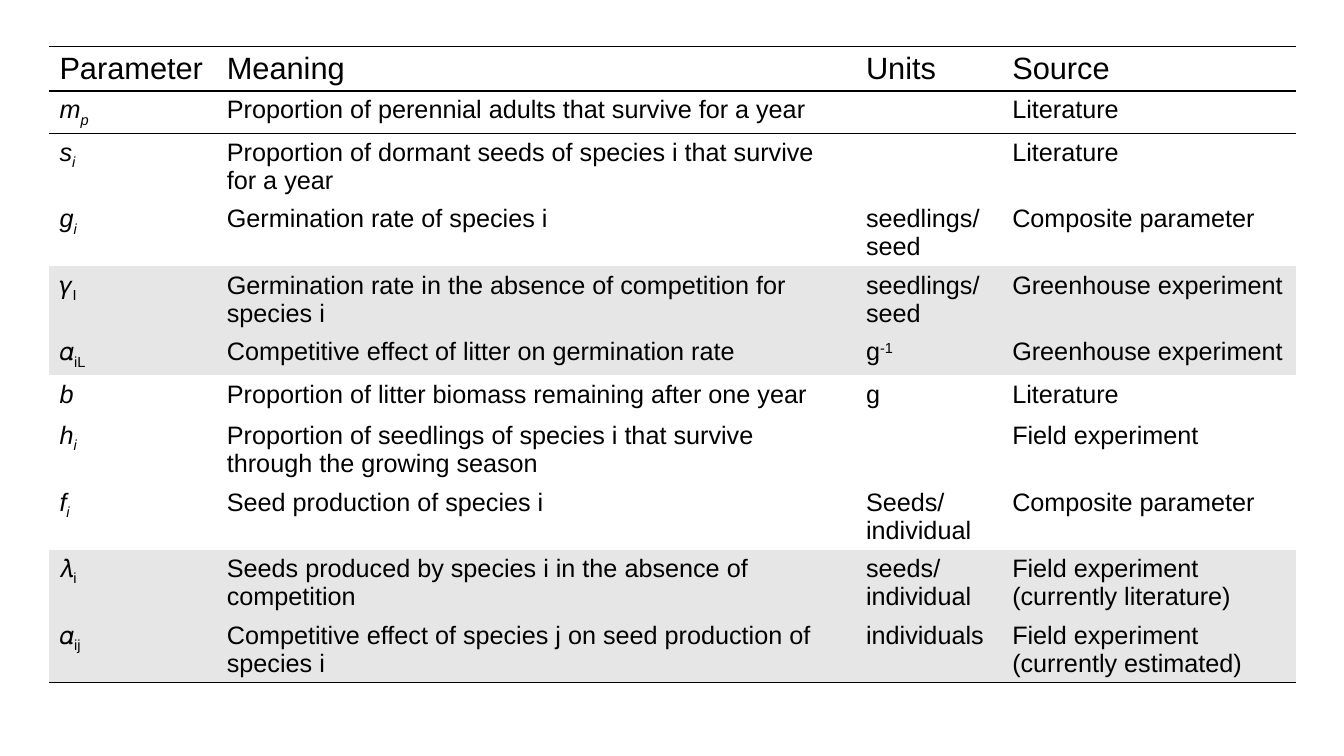
from dataclasses import dataclass

from lxml import etree
from pptx import Presentation, util as u
from pptx.dml.color import RGBColor
from pptx.oxml import ns


@dataclass(frozen=True)
class Theme:
    font: str = "Arial"
    ink: str = "000000"
    shade: str = "E7E6E6"
    header_size: int = 22
    body_size: int = 18
    rule_width: int = 1
    subscript: int = -25
    superscript: int = 30
    plain_table: str = "{2D5ABB26-0587-4C30-8999-92F81FD0307C}"


class SlideBuilder:
    def __init__(self, slide, theme):
        self.slide = slide
        self.theme = theme

    def table(self, left, top, widths, row_height, row_count):
        frame = self.slide.shapes.add_table(
            row_count, len(widths), u.Inches(left), u.Inches(top),
            u.Inches(sum(widths)), u.Inches(row_height * row_count))
        table = frame.table
        table.first_row = table.horz_banding = False
        table._tbl.tblPr.find(ns.qn("a:tableStyleId")).text = self.theme.plain_table
        for column, width in zip(table.columns, widths):
            column.width = u.Inches(width)
        for row in table.rows:
            row.height = u.Inches(row_height)
        return table

    def run(self, paragraph, words, size, italic=False, shift=0):
        run = paragraph.add_run()
        run.text = words
        font = run.font
        font.name = self.theme.font
        font.size = u.Pt(size)
        font.italic = italic
        font.color.rgb = RGBColor.from_string(self.theme.ink)
        if shift:
            run._r.get_or_add_rPr().set("baseline", str(shift * 1000))

    def rule(self, cell, edge):
        line = etree.SubElement(cell._tc.get_or_add_tcPr(), ns.qn(f"a:{edge}"),
                                w=str(u.Pt(self.theme.rule_width)))
        fill = etree.SubElement(line, ns.qn("a:solidFill"))
        etree.SubElement(fill, ns.qn("a:srgbClr"), val=self.theme.ink)

    def cell(self, cell, lines, size, italic=False, shaded=False, edges=()):
        """Each line is a list of (words, baseline shift) pairs."""
        for index, line in enumerate(lines):
            frame = cell.text_frame
            paragraph = frame.add_paragraph() if index else frame.paragraphs[0]
            for words, shift in line:
                self.run(paragraph, words, size, italic, shift)
        for edge in edges:
            self.rule(cell, edge)
        if shaded:
            cell.fill.solid()
            cell.fill.fore_color.rgb = RGBColor.from_string(self.theme.shade)
        else:
            cell.fill.background()


# Content: symbol, subscript, meaning, units, source
HEADERS = ["Parameter", "Meaning", "Units", "Source"]
PARAMETERS = [
    ("m", "p", "Proportion of perennial adults that survive for a year", "", "Literature"),
    ("s", "i", "Proportion of dormant seeds of species i that survive for a year",
     "", "Literature"),
    ("g", "i", "Germination rate of species i", "seedlings/seed", "Composite parameter"),
    ("𝛾", "I", "Germination rate in the absence of competition for species i",
     "seedlings/\nseed", "Greenhouse experiment"),
    ("𝛼", "iL", "Competitive effect of litter on germination rate",
     "g^-1", "Greenhouse experiment"),
    ("b", "", "Proportion of litter biomass remaining after one year", "g", "Literature"),
    ("h", "i", "Proportion of seedlings of species i that survive through the growing season",
     "", "Field experiment"),
    ("f", "i", "Seed production of species i", "Seeds/\nindividual", "Composite parameter"),
    ("𝜆", "i", "Seeds produced by species i in the absence of competition",
     "seeds/\nindividual", "Field experiment (currently literature)"),
    ("𝛼", "ij", "Competitive effect of species j on seed production of species i",
     "individuals", "Field experiment (currently estimated)"),
]
GREEK = "𝛾𝛼𝜆"


def marked_lines(words, theme):
    """Split at line breaks; what follows a caret is raised."""
    lines = []
    for line in words.split("\n"):
        base, _, power = line.partition("^")
        parts = [(base, 0), (power, theme.superscript)]
        lines.append([part for part in parts if part[0]])
    return lines


def main():
    theme = Theme()
    deck = Presentation()
    deck.slide_width, deck.slide_height = u.Inches(13.33), u.Inches(7.5)
    builder = SlideBuilder(deck.slides.add_slide(deck.slide_layouts[6]), theme)
    table = builder.table(0.49, 0.46, [1.66, 6.34, 1.45, 2.91], 0.41, len(PARAMETERS) + 1)

    # Header row
    for column, header in enumerate(HEADERS):
        builder.cell(table.cell(0, column), [[(header, 0)]], theme.header_size,
                     edges=("lnT", "lnB"))

    # Parameter rows: Greek symbols are upright on a shaded row
    for row, (symbol, index, *details) in enumerate(PARAMETERS, start=1):
        greek = symbol in GREEK
        edges = []
        if row == 1:
            edges.append("lnT")
        if row == len(PARAMETERS):
            edges.append("lnB")
        symbol_line = [(symbol, 0)] + ([(index, theme.subscript)] if index else [])
        builder.cell(table.cell(row, 0), [symbol_line], theme.body_size,
                     italic=not greek, shaded=greek, edges=edges)
        for column, words in enumerate(details, start=1):
            builder.cell(table.cell(row, column), marked_lines(words, theme),
                         theme.body_size, shaded=greek, edges=edges)

    deck.save("out.pptx")


if __name__ == "__main__":
    main()
